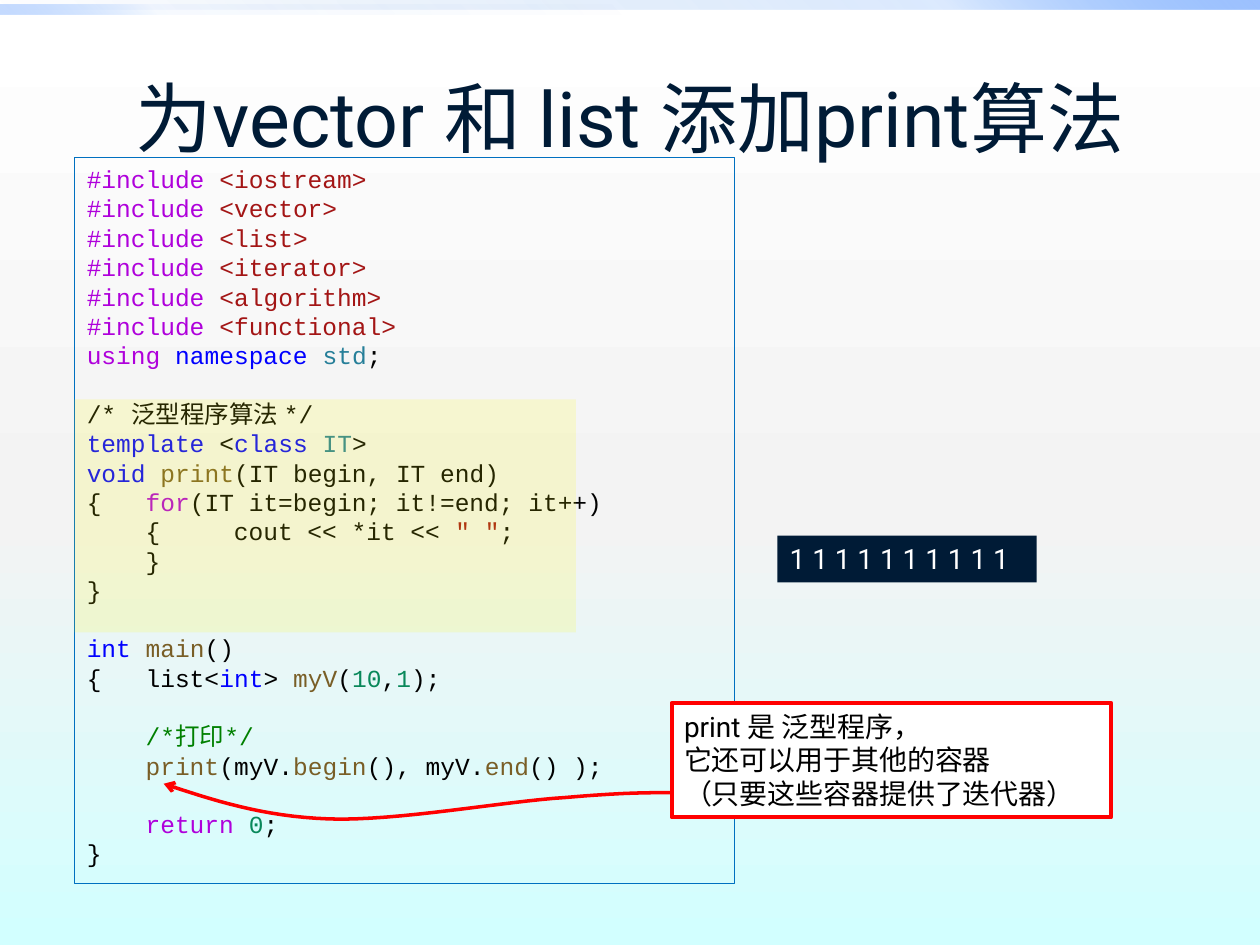
import pptx
import pptx.util
import pptx.dml.color
import pptx.enum.shapes
import pptx.enum.text
import pptx.oxml
import pptx.oxml.ns
from pptx.util import Cm

RGBColor = pptx.dml.color.RGBColor
qn = pptx.oxml.ns.qn
ALIGN = pptx.enum.text.PP_ALIGN
ANCHOR = pptx.enum.text.MSO_ANCHOR

WHITE = RGBColor(0xFF, 0xFF, 0xFF)
BLACK = RGBColor(0, 0, 0)
NAVY = RGBColor(0x00, 0x1B, 0x36)
RED = RGBColor(0xFF, 0, 0)
YELLOW = RGBColor(0xFF, 0xFF, 0)
FRAME = RGBColor(0x00, 0x70, 0xC0)
SILVER = RGBColor(0xF3, 0xF3, 0xF3)
CYAN = RGBColor(0xD2, 0xFF, 0xFF)
DEEP_BLUE = RGBColor(0x00, 0x58, 0xB7)
MID_BLUE = RGBColor(0x4F, 0x95, 0xFF)
PALE_BLUE = RGBColor(0x9E, 0xC2, 0xFF)
DIRECTIVE = RGBColor(0xAF, 0x00, 0xDB)
STRING = RGBColor(0xA3, 0x15, 0x15)
KEYWORD = RGBColor(0x00, 0x00, 0xFF)
TYPE = RGBColor(0x26, 0x7F, 0x99)
FUNCTION = RGBColor(0x79, 0x5E, 0x26)
NUMBER = RGBColor(0x09, 0x88, 0x5A)
COMMENT = RGBColor(0x00, 0x80, 0x00)

HEADERS = ["iostream", "vector", "list", "iterator", "algorithm", "functional"]
CODE_BLOCKS = [
    [[("#include ", DIRECTIVE), (f"<{header}>", STRING)] for header in HEADERS]
    + [[("using ", DIRECTIVE), ("namespace ", KEYWORD), ("std", TYPE), (";", BLACK)]],
    [
        [("/* 泛型程序算法 */", BLACK)],
        [("template ", KEYWORD), ("<", BLACK), ("class ", KEYWORD), ("IT", TYPE), (">", BLACK)],
        [("void ", KEYWORD), ("print", FUNCTION), ("(IT begin, IT end)", BLACK)],
        [("{", BLACK), ("   for", DIRECTIVE), ("(IT it=begin; it!=end; it++)", BLACK)],
        [("    {     cout << *it << ", BLACK), ('" "', STRING), (";", BLACK)],
        [("    }", BLACK)],
        [("}", BLACK)],
    ],
    [
        [("int ", KEYWORD), ("main", FUNCTION), ("()", BLACK)],
        [("{   list<", BLACK), ("int", KEYWORD), ("> ", BLACK), ("myV", FUNCTION), ("(", BLACK),
         ("10", NUMBER), (",", BLACK), ("1", NUMBER), (");", BLACK)],
    ],
    [
        [("    ", BLACK), ("/*打印*/", COMMENT)],
        [("    print", FUNCTION), ("(myV.", BLACK), ("begin", FUNCTION), ("(), myV.", BLACK),
         ("end", FUNCTION), ("() );", BLACK)],
    ],
    [
        [("    return ", DIRECTIVE), ("0", NUMBER), (";", BLACK)],
        [("}", BLACK)],
    ],
]
CALLOUT_LINES = ["print 是 泛型程序，", "它还可以用于其他的容器", "（只要这些容器提供了迭代器）"]
CURVE_START = (13.54, 15.98)
CURVE_SEGMENTS = [
    [(13.03, 15.98), (12.52, 15.98), (11.38, 16.08)],
    [(10.21, 16.15), (7.98, 16.56), (6.63, 16.51)],
    [(5.28, 16.46), (4.29, 16.13), (3.3, 15.8)],
]


class SlideBuilder:
    """Holds the current slide and its style and adds each kind of element."""

    code_format = {"name": "Courier New", "size": pptx.util.Pt(14)}
    title_format = {"name": "Roboto", "size": pptx.util.Pt(44)}
    note_format = {"name": "Roboto", "size": pptx.util.Pt(16)}
    blank_line = pptx.util.Pt(16.5)
    curve_steps = 16

    def __init__(self, slide):
        self.slide = slide

    def add_alpha(self, color_element, percent):
        alpha = color_element.makeelement(qn("a:alpha"), {"val": str(percent * 1000)})
        color_element.append(alpha)

    def set_gradient(self, fill, element, stops, angle):
        fill.gradient()
        gradient = element.find(".//" + qn("a:gradFill"))
        for child in list(gradient):
            gradient.remove(child)
        stop_list = gradient.makeelement(qn("a:gsLst"))
        gradient.append(stop_list)
        for position, color, opacity in stops:
            stop = stop_list.makeelement(qn("a:gs"), {"pos": str(position * 1000)})
            color_element = stop.makeelement(qn("a:srgbClr"), {"val": str(color)})
            self.add_alpha(color_element, opacity)
            stop.append(color_element)
            stop_list.append(stop)
        gradient.append(gradient.makeelement(qn("a:lin"), {"ang": str(angle * 60000), "scaled": "0"}))

    def background(self, stops, angle):
        self.set_gradient(self.slide.background.fill, self.slide._element, stops, angle)

    def rectangle(self, box, fill=None, line=None, line_width=1, opacity=100):
        shape = self.slide.shapes.add_shape(
            pptx.enum.shapes.MSO_SHAPE.RECTANGLE, *(Cm(length) for length in box))
        shape.shadow.inherit = False
        if fill is None:
            shape.fill.background()
        else:
            shape.fill.solid()
            shape.fill.fore_color.rgb = fill
            if opacity < 100:
                self.add_alpha(shape._element.spPr.find(".//" + qn("a:srgbClr")), opacity)
        if line is None:
            shape.line.fill.background()
        else:
            shape.line.color.rgb = line
            shape.line.width = pptx.util.Pt(line_width)
        return shape

    def gradient_bar(self, box, stops, angle):
        shape = self.rectangle(box)
        self.set_gradient(shape.fill, shape._element.spPr, stops, angle)

    def fill_text(self, shape, blocks, font_format, align=ALIGN.LEFT, anchor=ANCHOR.TOP, wrap=True):
        frame = shape.text_frame
        frame.word_wrap = wrap
        frame.vertical_anchor = anchor
        paragraph = None
        for block in blocks:
            for index, line in enumerate(block):
                is_first = paragraph is None
                paragraph = frame.paragraphs[0] if is_first else frame.add_paragraph()
                paragraph.alignment = align
                if index == 0 and not is_first:
                    paragraph.space_before = self.blank_line
                for text, color in line:
                    run = paragraph.add_run()
                    run.text = text
                    run.font.color.rgb = color
                    for attribute, value in font_format.items():
                        setattr(run.font, attribute, value)

    def title(self, text, box):
        shape = self.slide.shapes.title
        for attribute, length in zip(("left", "top", "width", "height"), box):
            setattr(shape, attribute, Cm(length))
        self.fill_text(shape, [[[(text, NAVY)]]], self.title_format, ALIGN.CENTER, ANCHOR.MIDDLE)

    def curved_arrow(self, start, segments, color, width):
        points = []
        origin = start
        for segment in segments:
            controls = [origin, *segment]
            for step in range(1, self.curve_steps + 1):
                t = step / self.curve_steps
                weights = ((1 - t) ** 3, 3 * t * (1 - t) ** 2, 3 * t * t * (1 - t), t ** 3)
                points.append(tuple(
                    Cm(sum(weight * control[axis] for weight, control in zip(weights, controls)))
                    for axis in (0, 1)))
            origin = segment[-1]
        builder = self.slide.shapes.build_freeform(Cm(start[0]), Cm(start[1]))
        builder.add_line_segments(points, close=False)
        shape = builder.convert_to_shape()
        shape.shadow.inherit = False
        shape.fill.background()
        shape.line.color.rgb = color
        shape.line.width = pptx.util.Pt(width)
        line = shape._element.spPr.find(qn("a:ln"))
        line.append(line.makeelement(qn("a:round")))
        line.append(line.makeelement(qn("a:tailEnd"), {"type": "arrow"}))


def main():
    presentation = pptx.Presentation()
    presentation.slide_width, presentation.slide_height = Cm(25.4), Cm(19.05)
    builder = SlideBuilder(presentation.slides.add_slide(presentation.slide_layouts[5]))

    builder.background([(0, WHITE, 100), (55, SILVER, 100), (100, CYAN, 100)], 90)
    builder.gradient_bar((0, 0, 25.4, 0.2),
                         [(0, DEEP_BLUE, 0), (75, MID_BLUE, 20), (100, PALE_BLUE, 100)], 315)
    builder.gradient_bar((0, 0.1, 12.7, 0.2),
                         [(0, DEEP_BLUE, 0), (75, MID_BLUE, 5), (100, PALE_BLUE, 60)], 135)
    builder.title("为vector 和 list 添加print算法", (1.27, 0.76, 22.86, 3.18))
    code = builder.rectangle((1.5, 3.18, 13.31, 14.63), line=FRAME, line_width=0.75)
    builder.fill_text(code, CODE_BLOCKS, builder.code_format)
    builder.rectangle((1.5, 8.05, 10.11, 4.7), fill=YELLOW, opacity=15)
    callout = builder.rectangle((13.54, 14.17, 8.86, 2.31), fill=WHITE, line=RED, line_width=2.25)
    builder.fill_text(callout, [[[(line, BLACK)] for line in CALLOUT_LINES]], builder.note_format)
    builder.curved_arrow(CURVE_START, CURVE_SEGMENTS, RED, 2)
    output = builder.rectangle((15.67, 10.8, 5.23, 0.94), fill=NAVY)
    builder.fill_text(output, [[[(" ".join("1" * 10), WHITE)]]], builder.note_format, wrap=False)

    presentation.save("out.pptx")


if __name__ == "__main__":
    main()
